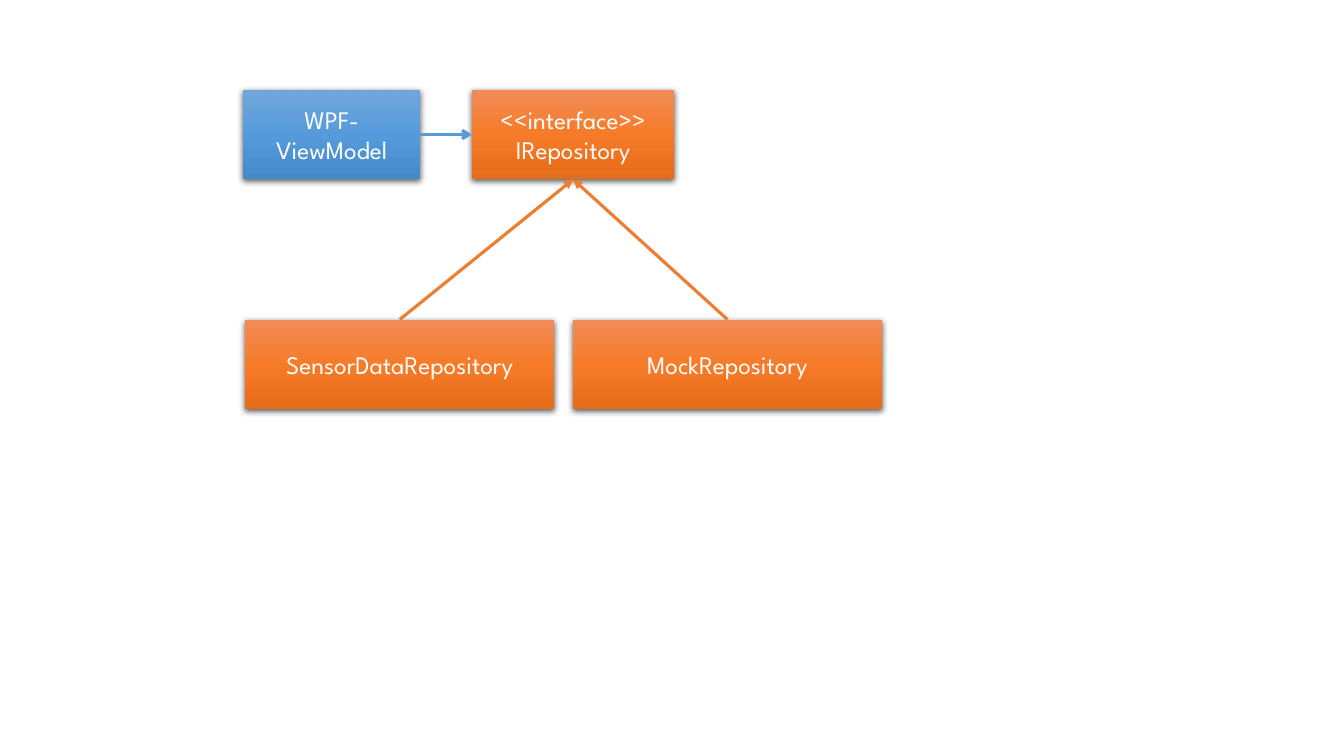
from copy import deepcopy

from lxml import etree
from pptx import Presentation
from pptx.dml.color import RGBColor
from pptx.enum.shapes import MSO_CONNECTOR, MSO_SHAPE
from pptx.enum.text import MSO_ANCHOR, PP_ALIGN
from pptx.oxml import parse_xml
from pptx.oxml.ns import nsdecls, qn
from pptx.util import Inches, Pt

RECT = MSO_SHAPE.RECTANGLE
STRAIGHT = MSO_CONNECTOR.STRAIGHT
MIDDLE = MSO_ANCHOR.MIDDLE
CENTER = PP_ALIGN.CENTER
TOP, LEFT, BOTTOM, RIGHT = range(4)

COLORS = {"text": "FFFFFF", "shadow": "000000", "blue": "5B9BD5", "orange": "ED7D31"}
GRADIENTS = {
    "blue": ("71A6DB", "559BDB", "448ACA"),
    "orange": ("F18C57", "F67B28", "E56C19"),
}
FONT = {"name": "League Spartan", "size": Pt(18)}
BOX_HEIGHT = 0.89
VIEW_ROW, REPOSITORY_ROW = 0.89, 3.17


def rgb(name):
    """Return the named colour."""
    return RGBColor.from_string(COLORS[name])


def fill_gradient(sp, color):
    """Fill a shape with an even vertical gradient."""
    sp.fill.gradient()
    sp.fill.gradient_angle = 270
    stops = sp._element.spPr.find(".//" + qn("a:gsLst"))
    stops.insert(1, deepcopy(stops[0]))
    for i, (stop, value) in enumerate(zip(sp.fill.gradient_stops, GRADIENTS[color])):
        stop.position = i / 2
        stop.color.rgb = RGBColor.from_string(value)


def add_shadow(sp):
    """Put a soft shadow below a shape."""
    sp.shadow.inherit = False
    effects = sp._element.spPr.find(qn("a:effectLst"))
    effects.append(parse_xml(
        f'<a:outerShdw {nsdecls("a")} blurRad="{Pt(4.5)}" dist="{Pt(1.5)}" '
        f'dir="5400000" algn="ctr" rotWithShape="0">'
        f'<a:srgbClr val="{COLORS["shadow"]}"><a:alpha val="63000"/></a:srgbClr>'
        f'</a:outerShdw>'))


def add_box(s, lines, x, y, width, color):
    """Add a class box with centred lines of text."""
    sp = s.shapes.add_shape(RECT, Inches(x), Inches(y), Inches(width), Inches(BOX_HEIGHT))
    fill_gradient(sp, color)
    sp.line.fill.background()
    add_shadow(sp)
    tf = sp.text_frame
    tf.word_wrap = True
    tf.vertical_anchor = MIDDLE
    for i, line in enumerate(lines):
        p = tf.add_paragraph() if i else tf.paragraphs[0]
        p.alignment = CENTER
        r = p.add_run()
        r.text = line
        for key, value in FONT.items():
            setattr(r.font, key, value)
        r.font.color.rgb = rgb("text")
    return sp


def add_arrow(s, start, start_site, end, end_site, color, head):
    """Connect two boxes with an arrow."""
    cxn = s.shapes.add_connector(STRAIGHT, 0, 0, 0, 0)
    cxn.begin_connect(start, start_site)
    cxn.end_connect(end, end_site)
    cxn.line.width = Pt(2.25)
    cxn.line.color.rgb = rgb(color)
    etree.SubElement(cxn.line._get_or_add_ln(), qn("a:tailEnd"), type=head)
    etree.SubElement(cxn._element.spPr, qn("a:effectLst"))


def main():
    """Build the repository class diagram."""
    prs = Presentation()
    prs.slide_width, prs.slide_height = Inches(13.33), Inches(7.5)
    s = prs.slides.add_slide(prs.slide_layouts[6])

    view_model = add_box(s, ["WPF-ViewModel"], 2.41, VIEW_ROW, 1.76, "blue")
    interface = add_box(s, ["<<interface>>", "IRepository"], 4.68, VIEW_ROW, 2.01, "orange")
    repositories = [
        add_box(s, [name], x, REPOSITORY_ROW, 3.07, "orange")
        for name, x in (("SensorDataRepository", 2.43), ("MockRepository", 5.68))
    ]

    for repository in repositories:
        add_arrow(s, repository, TOP, interface, BOTTOM, "orange", "triangle")
    add_arrow(s, view_model, RIGHT, interface, LEFT, "blue", "arrow")

    prs.save("out.pptx")


main()
